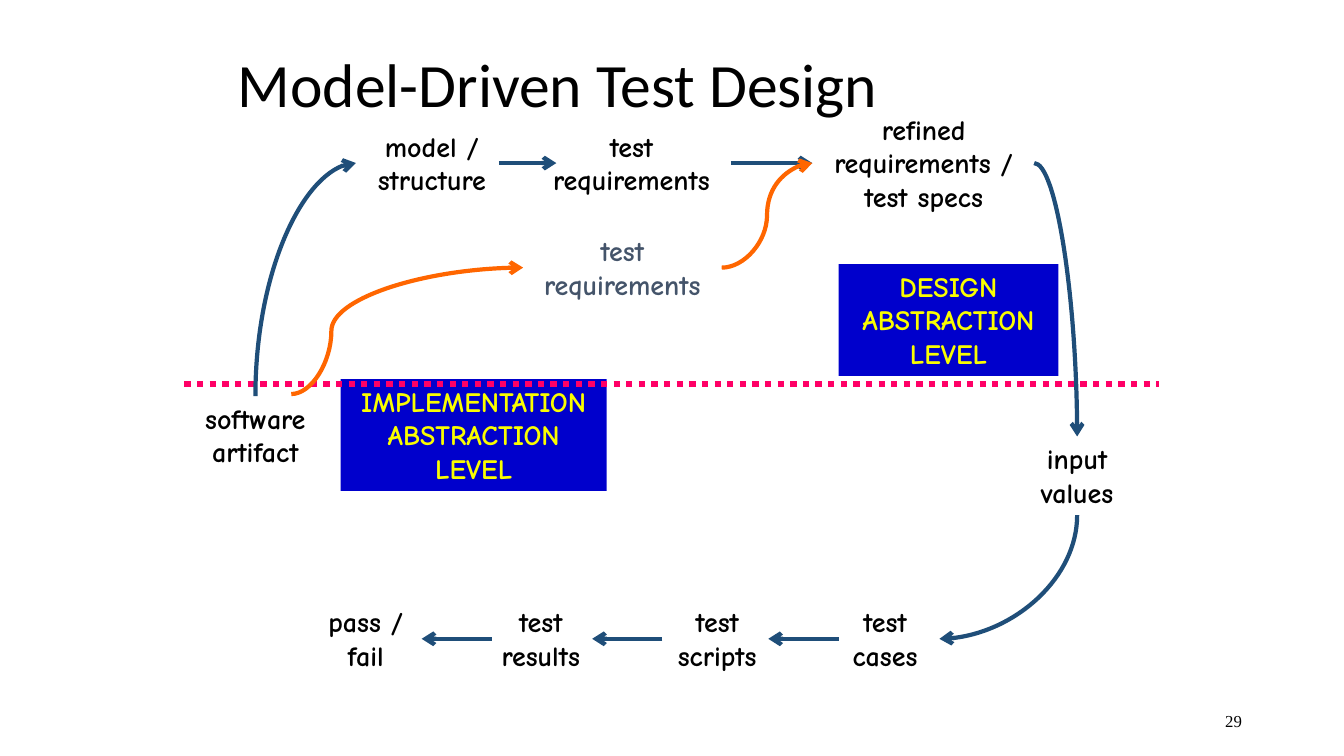
from lxml import etree
from pptx import Presentation
from pptx.dml.color import RGBColor
from pptx.enum import dml, shapes, text
from pptx.oxml.ns import qn
from pptx.util import Pt

BLACK = RGBColor(0, 0, 0)
GREY = RGBColor(0x44, 0x54, 0x6A)
NAVY = RGBColor(0x1F, 0x4E, 0x79)
ORANGE = RGBColor(0xFF, 0x66, 0x00)
PINK = RGBColor(0xFF, 0x00, 0x66)
BLUE = RGBColor(0x00, 0x00, 0xCC)
YELLOW = RGBColor(0xFA, 0xFD, 0x00)

TOP, MID, LOW = 116.5, 191.2, 456.3
LEFT, RIGHT = 182.4, 769.4
HAND = "Comic Neue"

# text, centre x, centre y, width, lines, colour
labels = [
    ("software artifact", LEFT, 310.7, 108.7, 2, BLACK),
    ("model / structure", 308.5, TOP, 108.7, 2, BLACK),
    ("test requirements", 451.1, TOP, 141.8, 2, BLACK),
    ("refined requirements / test specs", 659.8, TOP, 159.1, 3, BLACK),
    ("input values", RIGHT, 339.6, 108.7, 2, BLACK),
    ("test cases", 632.2, LOW, 79.2, 2, BLACK),
    ("test scripts", 512.3, LOW, 90, 2, BLACK),
    ("test results", 386.3, LOW, 90, 2, BLACK),
    ("pass / fail", 261.3, LOW, 89.3, 2, BLACK),
    ("test requirements", 444.6, MID, 141.8, 2, GREY),
]
levels = [
    (["IMPLEMENTATION", "ABSTRACTION", "LEVEL"], 338.4, 310.7, 190.1),
    (["DESIGN", "ABSTRACTION", "LEVEL"], 677.5, 228.6, 157),
]
starts = [351.4, 473.2, 599]
STEP = 50.2
# start, end, colour, kind, bend
curves = [
    ((LEFT, 283), (254.2, TOP), NAVY, "down", None),
    ((RIGHT, 367.9), (671, LOW), NAVY, "down", None),
    ((738.7, TOP), (RIGHT, 311.8), NAVY, "across", None),
    ((208.1, 281.5), (373.7, MID), ORANGE, "wave", 17300),
    ((515.5, MID), (580.3, TOP), ORANGE, "wave", 50000),
]

deck = Presentation()
deck.slide_width, deck.slide_height = Pt(960), Pt(540)
slide = deck.slides.add_slide(deck.slide_layouts[6])
items = slide.shapes


def write(frame, lines, size, font, color, align):
    for i, line in enumerate(lines):
        para = frame.paragraphs[0] if i == 0 else frame.add_paragraph()
        para.text = line
        para.alignment = align
        para.font.size = Pt(size)
        para.font.name = font
        para.font.color.rgb = color
        para.font.bold = font == HAND


def place(x, y, width, count):
    high = 7.2 + 24.2 * count
    return [Pt(v) for v in (x - width / 2, y - high / 2, width, high)]


def single(line, area, size, font, align):
    frame = items.add_textbox(*map(Pt, area)).text_frame
    frame.word_wrap = True
    frame.vertical_anchor = text.MSO_ANCHOR.MIDDLE
    write(frame, [line], size, font, BLACK, align)
    return frame


def link(start, end, color, width=3, kind=shapes.MSO_CONNECTOR.STRAIGHT, arrow=True):
    line = items.add_connector(kind, *map(Pt, (*start, *end)))
    line.line.color.rgb = color
    line.line.width = Pt(width)
    if arrow:
        etree.SubElement(line.line._get_or_add_ln(), qn("a:tailEnd"), type="arrow")
    etree.SubElement(line._element.spPr, qn("a:effectLst"))
    return line


def curve(start, end, color, kind, bend):
    if kind == "down":
        mx, my = (start[0] + end[0]) / 2, (start[1] + end[1]) / 2
        dx, dy = (end[0] - start[0]) / 2, (end[1] - start[1]) / 2
        start, end = (mx - dy, my + dx), (mx + dy, my - dx)
    line = link(start, end, color, kind=shapes.MSO_CONNECTOR.CURVE)
    props = line._element.spPr
    geom = props.find(qn("a:prstGeom"))
    if kind == "wave":
        etree.SubElement(geom.find(qn("a:avLst")), qn("a:gd"), name="adj1", fmla=f"val {bend}")
    else:
        geom.set("prst", "curvedConnector2")
    if kind == "down":
        props.find(qn("a:xfrm")).set("rot", "5400000")


title = single("Model-Driven Test Design", (162.7, 10.1, 620.6, 104.4), 44, "Calibri", text.PP_ALIGN.LEFT)
title.paragraphs[0].line_spacing = 0.9
single("29", (678.2, 500.4, 216, 28.8), 12, "Times New Roman", text.PP_ALIGN.RIGHT)

boxes = []
for words, x, y, width, count, color in labels:
    box = items.add_textbox(*place(x, y, width, count))
    box.text_frame.word_wrap = True
    box.text_frame.auto_size = text.MSO_AUTO_SIZE.SHAPE_TO_FIT_TEXT
    write(box.text_frame, [words], 20, HAND, color, text.PP_ALIGN.CENTER)
    boxes.append(box)

for lines, x, y, width in levels:
    box = items.add_shape(shapes.MSO_SHAPE.RECTANGLE, *place(x, y, width, 3))
    box.shadow.inherit = False
    box.fill.solid()
    box.fill.fore_color.rgb = BLUE
    box.line.fill.background()
    box.text_frame.word_wrap = False
    box.text_frame.auto_size = text.MSO_AUTO_SIZE.SHAPE_TO_FIT_TEXT
    box.text_frame.vertical_anchor = text.MSO_ANCHOR.TOP
    write(box.text_frame, lines, 20, HAND, YELLOW, text.PP_ALIGN.CENTER)

link((356.4, TOP), (397.4, TOP), NAVY)
refine = link((522, TOP), (580.3, TOP), NAVY)
refine.begin_connect(boxes[2], 3)
refine.end_connect(boxes[3], 1)
for x in starts:
    link((x, LOW), (x - STEP, LOW), NAVY)

border = link((131.8, 274.3), (828, 274.3), PINK, 4.5, arrow=False)
border.line.dash_style = dml.MSO_LINE.ROUND_DOT

for item in curves:
    curve(*item)

deck.save("out.pptx")
